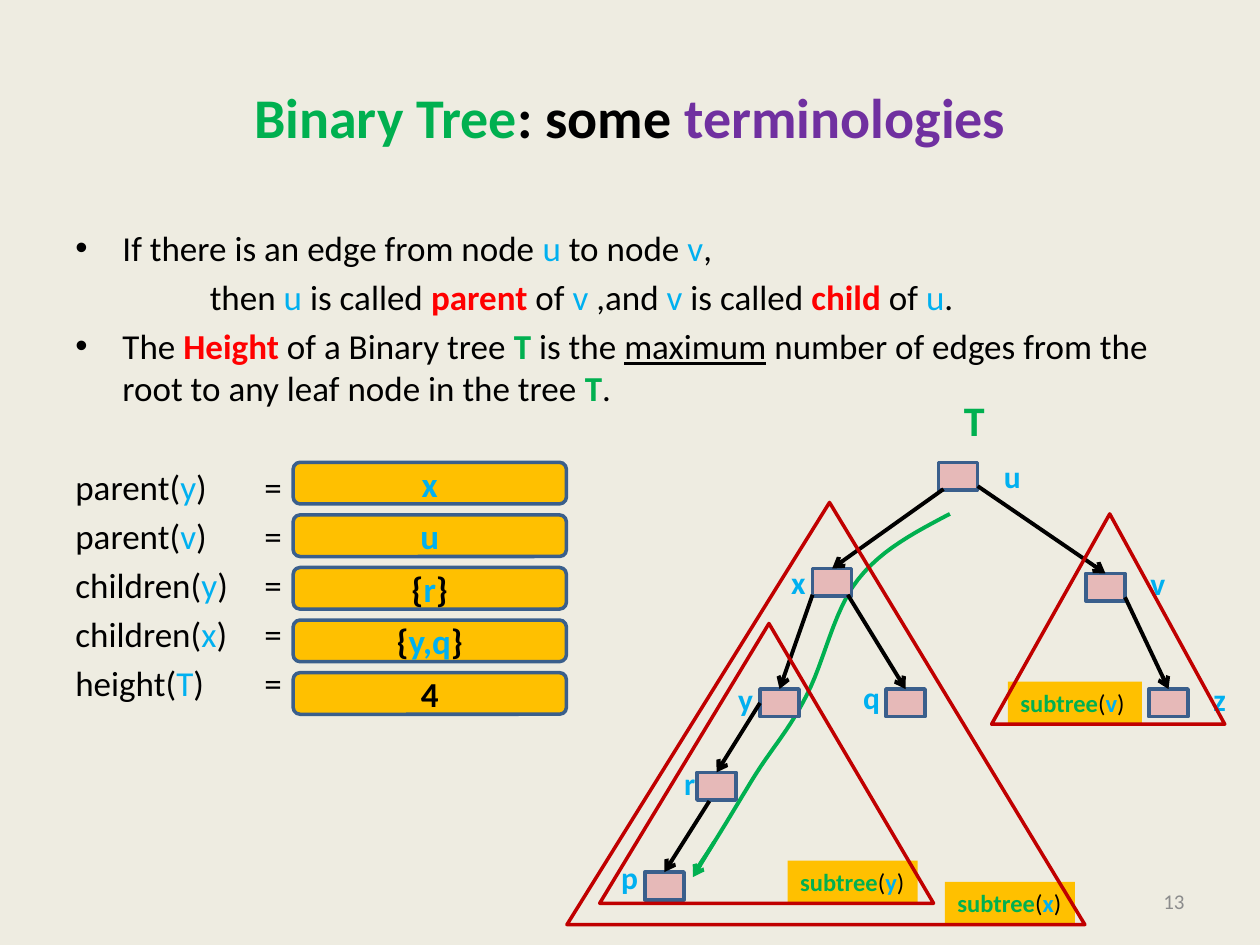
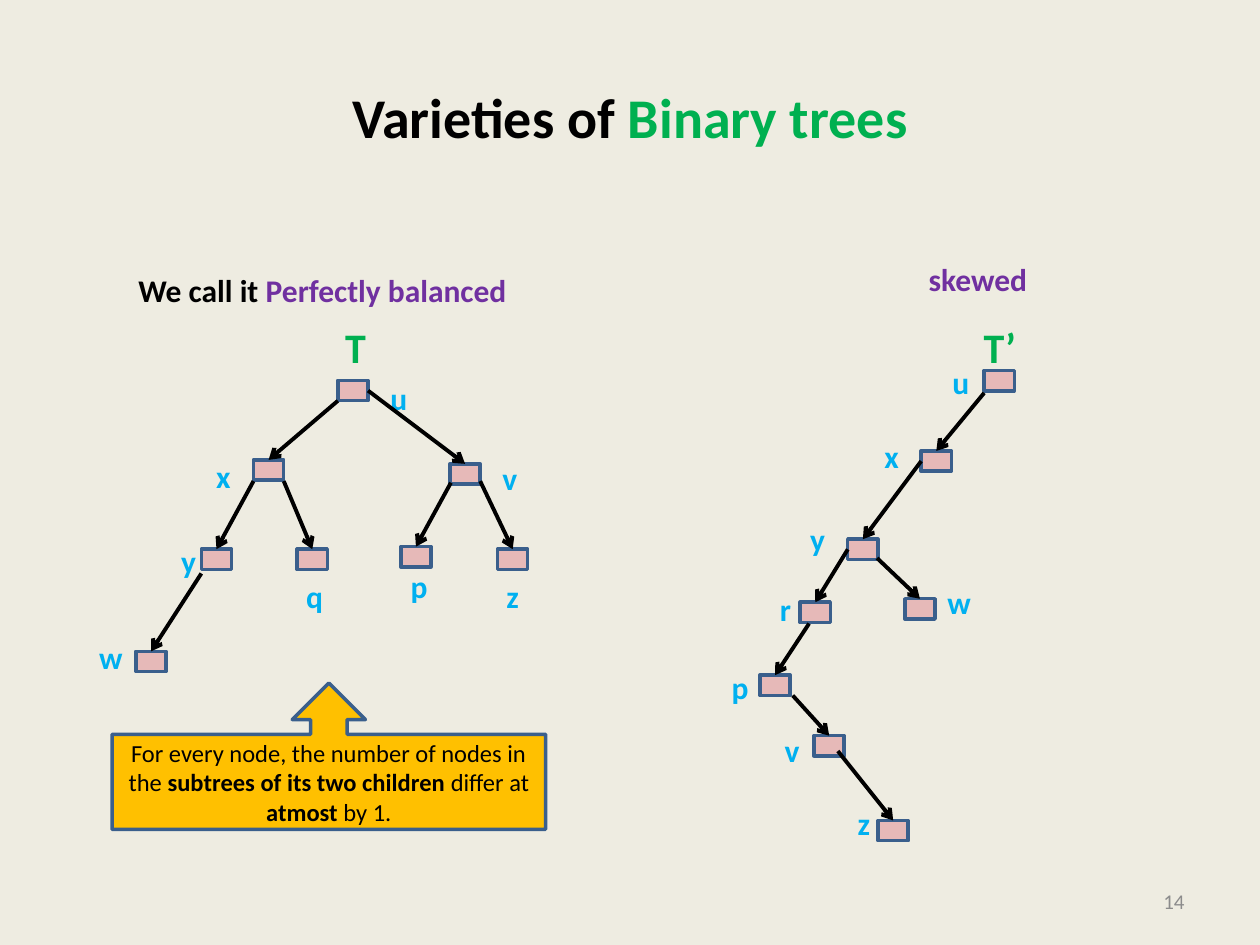
import lxml.etree
import pptx
import pptx.dml.color
import pptx.enum.shapes
import pptx.enum.text
import pptx.oxml.ns
import pptx.util

Cm = pptx.util.Cm
Pt = pptx.util.Pt
RGBColor = pptx.dml.color.RGBColor
SHAPE = pptx.enum.shapes.MSO_SHAPE
ALIGN = pptx.enum.text.PP_ALIGN
ANCHOR = pptx.enum.text.MSO_ANCHOR
qn = pptx.oxml.ns.qn

FONT = "Calibri"
BACKGROUND = RGBColor(0xEE, 0xEC, 0xE1)
BLACK = RGBColor(0x00, 0x00, 0x00)
GREEN = RGBColor(0x00, 0xB0, 0x50)
PURPLE = RGBColor(0x70, 0x30, 0xA0)
BLUE = RGBColor(0x00, 0xB0, 0xF0)
RED = RGBColor(0xFF, 0x00, 0x00)
DARK_RED = RGBColor(0xC0, 0x00, 0x00)
GREY = RGBColor(0x8C, 0x8C, 0x8C)
ORANGE = RGBColor(0xFF, 0xC0, 0x00)
PINK = RGBColor(0xE6, 0xB9, 0xB8)
OUTLINE = RGBColor(0x3A, 0x5F, 0x8C)


def write_runs(paragraph, size, runs):
    """Each run is (text, colour, bold, underline); all but the text may be left out."""
    for text, *style in runs:
        colour, bold, underline = (style + [BLACK, False, False][len(style):])
        run = paragraph.add_run()
        run.text = text
        run.font.name = FONT
        run.font.size = Pt(size)
        run.font.color.rgb = colour
        run.font.bold = bold
        run.font.underline = underline


def add_box(slide, box, size=18, runs=(), kind=None, fill=None, line=None,
            align=ALIGN.LEFT, anchor=ANCHOR.TOP, wrap=True):
    """Add a preset shape, or a text box when no kind is given; box is in cm."""
    place = [Cm(length) for length in box]
    if kind is None:
        shape = slide.shapes.add_textbox(*place)
    else:
        shape = slide.shapes.add_shape(kind, *place)
        shape.shadow.inherit = False
        if fill is None:
            shape.fill.background()
        else:
            shape.fill.solid()
            shape.fill.fore_color.rgb = fill
        if line is None:
            shape.line.fill.background()
        else:
            shape.line.color.rgb = line
            shape.line.width = Pt(2)
    frame = shape.text_frame
    frame.word_wrap = wrap
    frame.vertical_anchor = anchor
    frame.paragraphs[0].alignment = align
    write_runs(frame.paragraphs[0], size, runs)
    return shape


presentation = pptx.Presentation()
presentation.slide_width = Cm(25.4)
presentation.slide_height = Cm(19.05)
master_fill = presentation.slide_master.background.fill
master_fill.solid()
master_fill.fore_color.rgb = BACKGROUND

# Titles and slide numbers
titles = [
    ("13", [("Binary Tree", GREEN, True), (": some ", BLACK, True), ("terminologies", PURPLE, True)]),
    ("14", [("Varieties of ", BLACK, True), ("Binary trees", GREEN, True)]),
]
slides = []
for number, title in titles:
    slide = presentation.slides.add_slide(presentation.slide_layouts[6])
    add_box(slide, (1.27, 0.76, 22.86, 3.18), 32, title, align=ALIGN.CENTER, anchor=ANCHOR.MIDDLE)
    add_box(slide, (18.21, 17.65, 5.92, 1.02), 12, [(number, GREY)],
            align=ALIGN.RIGHT, anchor=ANCHOR.MIDDLE)
    slides.append(slide)
terms_slide, varieties_slide = slides

# Definitions and questions: (bullet, left margin in cm, space before in pt, runs)
body_lines = [
    (True, 0.95, 4, [("If there is an edge from node ",), ("u", BLUE), (" to node ",),
                     ("v", BLUE), (",",)]),
    (False, 2.71, 4, [("then ",), ("u", BLUE), (" is called ",), ("parent", RED, True), (" of ",),
                      ("v", BLUE), (" ,and ",), ("v", BLUE), (" is called ",),
                      ("child", RED, True), (" of ",), ("u", BLUE), (".",)]),
    (True, 0.95, 4, [("The ",), ("Height", RED, True), (" of a Binary tree ",), ("T", GREEN, True),
                     (" is the ",), ("maximum", BLACK, False, True),
                     (" number of edges from the root to any leaf node in the tree ",),
                     ("T", GREEN, True), (".",)]),
]
questions = [("parent", "y"), ("parent", "v"), ("children", "y"), ("children", "x"), ("height", "T")]
for index, (function, argument) in enumerate(questions):
    gap = 32.4 if index == 0 else 4
    body_lines.append((False, 0, gap, [(function + "(",), (argument, BLUE), (")\t=",)]))

body = add_box(terms_slide, (1.27, 4.45, 22.86, 12.57)).text_frame
for index, (bullet, margin, gap, runs) in enumerate(body_lines):
    paragraph = body.paragraphs[0] if index == 0 else body.add_paragraph()
    paragraph.space_before = Pt(gap)
    write_runs(paragraph, 20, runs)
    properties = paragraph._p.get_or_add_pPr()
    properties.set("marL", str(Cm(margin)))
    properties.set("indent", str(-Cm(margin) if bullet else 0))
    if bullet:
        lxml.etree.SubElement(properties, qn("a:buFont"), typeface="Arial")
        lxml.etree.SubElement(properties, qn("a:buChar"), char="•")
    else:
        lxml.etree.SubElement(properties, qn("a:buNone"))
        tabs = lxml.etree.SubElement(properties, qn("a:tabLst"))
        lxml.etree.SubElement(tabs, qn("a:tab"), pos=str(Cm(3.74)), algn="l")

# Longest path from the root: Bézier segments (two control points, end point)
path_start = (19.15, 10.36)
path_curves = [
    ((18.47, 10.72), (17.78, 11.07), (17.3, 11.68)),
    ((16.81, 12.29), (16.61, 13.36), (16.26, 14.02)),
    ((15.93, 14.68), (15.62, 15.01), (15.24, 15.6)),
    ((14.86, 16.21), (14.43, 16.97), (14.0, 17.58)),
]
path_points = []
here = path_start
for first, second, end in path_curves:
    for step in range(1, 13):
        t = step / 12
        path_points.append([
            Cm((1 - t) ** 3 * a + 3 * (1 - t) ** 2 * t * b + 3 * (1 - t) * t ** 2 * c + t ** 3 * d)
            for a, b, c, d in zip(here, first, second, end)])
    here = end
builder = terms_slide.shapes.build_freeform(Cm(path_start[0]), Cm(path_start[1]))
builder.add_line_segments(path_points, close=False)
longest_path = builder.convert_to_shape()
longest_path.shadow.inherit = False
longest_path.fill.background()
longest_path.line.color.rgb = GREEN
longest_path.line.width = Pt(2.25)

STRAIGHT = pptx.enum.shapes.MSO_CONNECTOR.STRAIGHT
arrows = [(terms_slide.shapes.add_connector(STRAIGHT, Cm(14.4), Cm(16.97), Cm(13.97), Cm(17.68)), GREEN)]

# Trees: (slide, name, name place, node size, nodes)
# Node: (letter, node place, letter place, parent, edge start as a point or a side of the parent)
trees = [
    (terms_slide, "T", (19.18, 7.82), (0.79, 0.56), [
        ("u", (18.92, 9.32), (19.99, 9.09), None, None),
        ("x", (16.38, 11.46), (15.7, 11.23), "u", (19.02, 9.86)),
        ("v", (21.89, 11.56), (22.94, 11.25), "u", (19.71, 9.8)),
        ("y", (15.32, 13.89), (14.63, 13.59), "x", (16.38, 11.99)),
        ("q", (17.86, 13.89), (17.15, 13.54), "x", (17.09, 11.99)),
        ("z", (23.16, 13.89), (24.21, 13.59), "v", (22.68, 12.04)),
        ("r", (14.05, 15.57), (13.54, 15.27), "y", 1),
        ("p", (13.0, 17.58), (12.27, 17.17), "r", (14.3, 16.15)),
    ]),
    (varieties_slide, "T", (6.71, 6.35), (0.61, 0.41), [
        ("u", (6.81, 7.67), (7.62, 7.52), None, None),
        ("x", (5.11, 9.27), (4.11, 9.09), "u", (6.81, 8.08)),
        ("v", (9.07, 9.35), (9.88, 9.12), "u", 3),
        ("y", (4.06, 11.07), (3.4, 10.8), "x", (5.11, 9.7)),
        ("q", (5.99, 11.07), (5.92, 11.51), "x", (5.72, 9.7)),
        ("p", (8.08, 11.02), (8.03, 11.3), "v", (9.09, 9.73)),
        ("z", (10.03, 11.07), (9.96, 11.51), "v", (9.68, 9.7)),
        ("w", (2.74, 13.13), (1.75, 12.73), "y", (4.06, 11.56)),
    ]),
    (varieties_slide, "T’", (19.58, 6.35), (0.61, 0.41), [
        ("u", (19.84, 7.47), (18.95, 7.19), None, None),
        ("x", (18.57, 9.09), (17.58, 8.69), "u", (19.84, 7.92)),
        ("y", (17.09, 10.87), (16.08, 10.36), "x", 1),
        ("r", (16.13, 12.14), (15.47, 11.76), "y", 1),
        ("w", (18.24, 12.07), (18.85, 11.63), "y", (17.68, 11.25)),
        ("p", (15.32, 13.61), (14.5, 13.34), "r", (16.31, 12.57)),
        ("v", (16.41, 14.83), (15.57, 14.61), "p", (15.98, 14.02)),
        ("z", (17.7, 16.54), (17.04, 16.08), "v", (16.89, 15.14)),
    ]),
]
for slide, tree_name, name_place, node_size, tree_nodes in trees:
    add_box(slide, (*name_place, 1.2, 1.27), 24, [(tree_name, GREEN, True)])
    nodes = {}
    for letter, node_place, letter_place, parent, start in tree_nodes:
        node = add_box(slide, (*node_place, *node_size), kind=SHAPE.RECTANGLE, fill=PINK, line=OUTLINE)
        nodes[letter] = node
        add_box(slide, (*letter_place, 1.0, 1.02), 18, [(letter, BLUE, True)])
        if parent is None:
            continue
        joined = isinstance(start, int)
        x, y = node_place if joined else start
        edge = slide.shapes.add_connector(STRAIGHT, Cm(x), Cm(y), Cm(x), Cm(y))
        if joined:
            edge.begin_connect(nodes[parent], start)
        edge.end_connect(node, 0)
        arrows.append((edge, BLACK))

for arrow, colour in arrows:
    arrow.line.color.rgb = colour
    arrow.line.width = Pt(2.25)
    properties = arrow._element.spPr
    lxml.etree.SubElement(properties.find(qn("a:ln")), qn("a:tailEnd"), type="arrow")
    lxml.etree.SubElement(properties, qn("a:effectLst"))

# Answers beside the questions
answers = [
    [("x", BLUE, True)],
    [("u", BLUE, True)],
    [("{", BLACK, True), ("r", BLUE, True), ("}", BLACK, True)],
    [("{", BLACK, True), ("y,q", BLUE, True), ("}", BLACK, True)],
    [("4", BLACK, True)],
]
for row, answer in enumerate(answers):
    add_box(terms_slide, (5.91, 9.32 + 1.06 * row, 5.51, 0.84), 20, answer,
            SHAPE.ROUNDED_RECTANGLE, ORANGE, OUTLINE, ALIGN.CENTER, ANCHOR.MIDDLE)

# Subtrees: (root, tag place and width, triangle)
subtrees = [
    ("x", (19.05, 17.78, 2.62), (11.43, 10.13, 10.44, 8.51)),
    ("y", (15.88, 17.35, 2.62), (12.09, 12.57, 6.73, 5.64)),
    ("v", (20.32, 13.74, 2.7), (19.99, 10.36, 4.7, 4.24)),
]
for root, tag, triangle_box in subtrees:
    add_box(terms_slide, (*tag, 0.86), 14,
            [("subtree", GREEN, True), ("(",), (root, BLUE, True), (")",)],
            SHAPE.RECTANGLE, ORANGE, wrap=False)
    triangle = add_box(terms_slide, triangle_box, kind=SHAPE.ISOSCELES_TRIANGLE, line=DARK_RED)
    triangle.adjustments[0] = 0.507

# Captions of the two varieties
add_box(varieties_slide, (18.47, 5.11, 2.6, 1.02), 18, [("skewed", PURPLE, True)], wrap=False)
add_box(varieties_slide, (2.54, 5.33, 8.0, 1.02), 18,
        [("We call it ", BLACK, True), ("Perfectly balanced", PURPLE, True)], wrap=False)
add_box(varieties_slide, (2.26, 13.77, 8.74, 2.95), 14,
        [("For every node, the number of nodes in the ",),
         ("subtrees of its two children ", BLACK, True), ("differ at ",),
         ("atmost", BLACK, True), (" by 1.",)],
        SHAPE.UP_ARROW_CALLOUT, ORANGE, OUTLINE, ALIGN.CENTER, ANCHOR.MIDDLE)

presentation.save("out.pptx")
